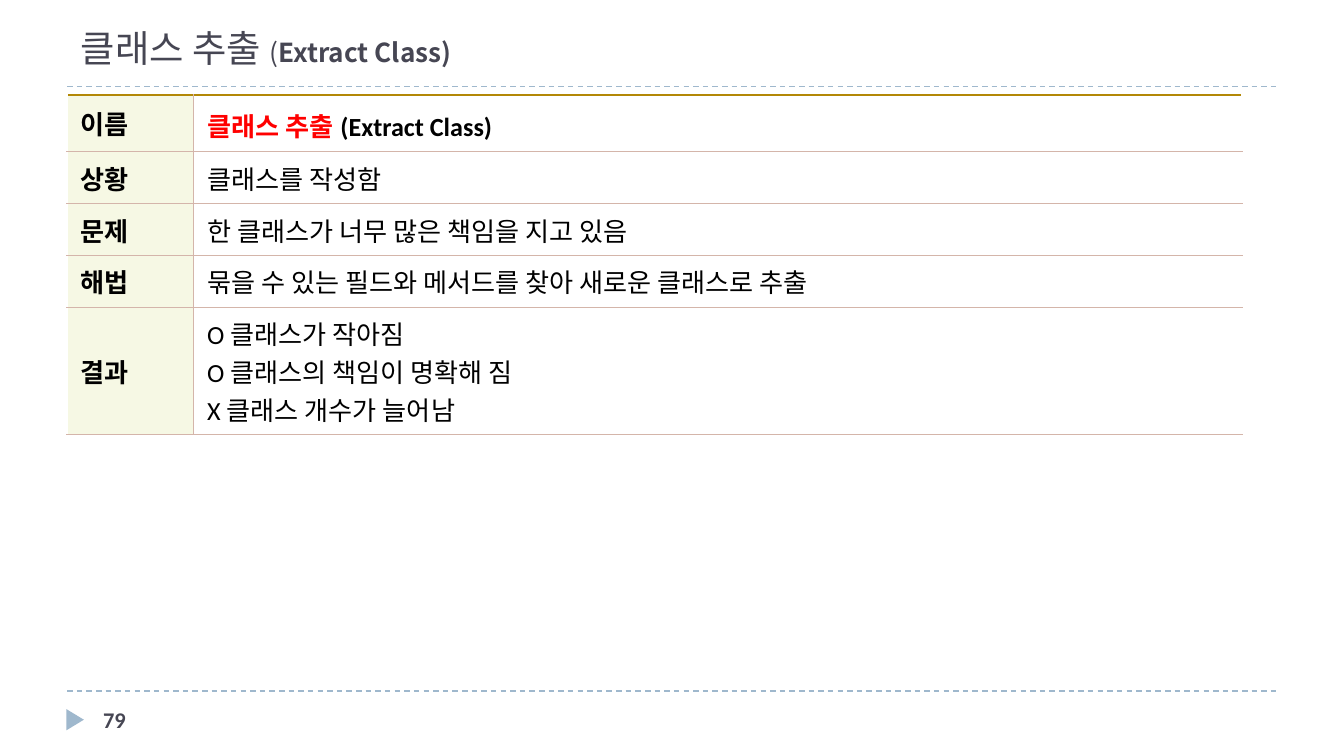
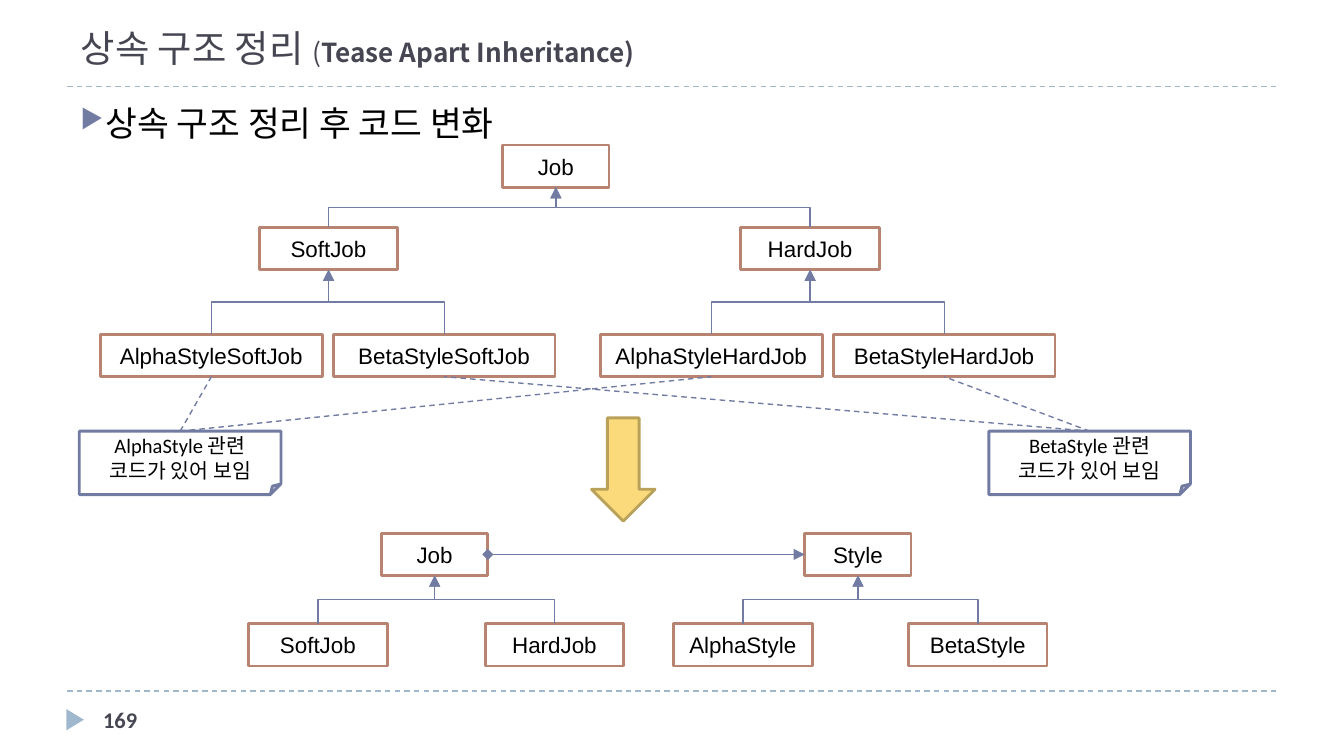
"""Build two refactoring slides: Extract Class and Tease Apart Inheritance."""
from lxml import etree
from pptx import Presentation
from pptx.dml.color import RGBColor
from pptx.enum.dml import MSO_LINE_DASH_STYLE as Dash
from pptx.enum.shapes import MSO_CONNECTOR as Link, MSO_SHAPE as Preset
from pptx.enum.text import MSO_ANCHOR as Anchor, MSO_AUTO_SIZE as AutoSize, PP_ALIGN as Align
from pptx.oxml.ns import qn
from pptx.util import Cm, Pt

COLORS = {name: RGBColor.from_string(value) for name, value in {
    "text": "000000", "heading": "464653", "highlight": "FF0000", "white": "FFFFFF",
    "rule": "9FB8CD", "link": "727CA3", "class": "B88472",
    "arrow": "FADA7A", "arrow_edge": "B9A15A",
    "label": "F6F8E4", "grid": "D4B5AA", "grid_top": "B38807",
}.items()}


def add_box(slide, preset, frame, fill, edge, text="", font_name="Arial", size=12):
    shape = slide.shapes.add_shape(preset, *[Cm(value) for value in frame])
    shape.shadow.inherit = False
    shape.fill.solid()
    shape.fill.fore_color.rgb = COLORS[fill]
    if edge:
        shape.line.color.rgb = COLORS[edge]
        shape.line.width = Pt(1.5)
    else:
        shape.line.fill.background()
    if text:
        shape.text_frame.text = text
        shape.text_frame.vertical_anchor = Anchor.MIDDLE
        paragraph = shape.text_frame.paragraphs[0]
        paragraph.alignment = Align.CENTER
        paragraph.font.name = font_name
        paragraph.font.size = Pt(size)
        paragraph.font.color.rgb = COLORS["text"]
    return shape


def add_link(slide, kind, color, dash=None, ends=None, joins=None, points=(0, 0, 0, 0)):
    connector = slide.shapes.add_connector(kind, *[Cm(value) for value in points])
    if joins:
        start, start_site, finish, finish_site = joins
        connector.begin_connect(start, start_site)
        connector.end_connect(finish, finish_site)
    connector.line.color.rgb = COLORS[color]
    connector.line.width = Pt(0.75)
    if dash:
        connector.line.dash_style = dash
    line = connector.line._get_or_add_ln()
    for tag, arrow in (ends or {}).items():
        etree.SubElement(line, qn(f"a:{tag}"), type=arrow)
    etree.SubElement(connector._element.spPr, qn("a:effectLst"))
    return connector


presentation = Presentation()
presentation.slide_width = Cm(25.4)
presentation.slide_height = Cm(14.29)

slides = []
for korean, english, number in [
    ("클래스 추출 ", "Extract Class)", "79"),
    ("상속 구조 정리 ", "Tease Apart Inheritance)", "169"),
]:
    slide = presentation.slides.add_slide(presentation.slide_layouts[5])
    slides.append(slide)
    for height in (13.06, 1.63):
        add_link(slide, Link.STRAIGHT, "rule", Dash.DASH, points=(1.27, height, 24.13, height))
    marker = add_box(slide, Preset.ISOSCELES_TRIANGLE, (1.22, 13.44, 0.4, 0.33), "rule", None)
    marker.rotation = 90

    title = slide.shapes.title
    title.left, title.top, title.width, title.height = Cm(1.27), Cm(0.33), Cm(22.86), Cm(1.12)
    title.text_frame.auto_size = AutoSize.NONE
    title.text_frame.vertical_anchor = Anchor.BOTTOM
    paragraph = title.text_frame.paragraphs[0]
    paragraph.alignment = Align.LEFT
    paragraph.font.name = "Noto Sans CJK KR"
    paragraph.font.color.rgb = COLORS["heading"]
    for text, size, bold in [(korean, 20, False), ("(", 14, False), (english, 14, True)]:
        run = paragraph.add_run()
        run.text = text
        run.font.size = Pt(size)
        run.font.bold = bold

    footer = slide.shapes.add_textbox(Cm(1.7), Cm(13.23), Cm(5.5), Cm(0.76))
    footer.text_frame.word_wrap = True
    paragraph = footer.text_frame.paragraphs[0]
    paragraph.text = number
    paragraph.font.name = "Calibri"
    paragraph.font.size = Pt(12)
    paragraph.font.bold = True
    paragraph.font.color.rgb = COLORS["heading"]

extract_slide, inheritance_slide = slides

pattern_rows = [
    ("이름", "", 1.07),
    ("상황", "클래스를 작성함", 0.98),
    ("문제", "한 클래스가 너무 많은 책임을 지고 있음", 0.98),
    ("해법", "묶을 수 있는 필드와 메서드를 찾아 새로운 클래스로 추출", 0.98),
    ("결과", "O 클래스가 작아짐\nO 클래스의 책임이 명확해 짐\nX 클래스 개수가 늘어남", 2.4),
]
table = extract_slide.shapes.add_table(
    len(pattern_rows), 2, Cm(1.27), Cm(1.8), Cm(22.2), Cm(6.41)).table
table.first_row = table.horz_banding = False
table.columns[0].width, table.columns[1].width = Cm(2.39), Cm(19.81)
for row, (label, content, height) in enumerate(pattern_rows):
    table.rows[row].height = Cm(height)
    for column, text in enumerate((label, content)):
        cell = table.cell(row, column)
        cell.text = text
        cell.vertical_anchor = Anchor.MIDDLE
        for paragraph in cell.text_frame.paragraphs:
            paragraph.font.name = "Calibri"
            paragraph.font.size = Pt(14)
            paragraph.font.bold = column == 0 or row == 0
            paragraph.font.color.rgb = COLORS["text"]
        for side in ("lnR" if column == 0 else "lnL", "lnT", "lnB"):
            top_edge = side == "lnT" and row == 0
            border = etree.SubElement(cell._tc.get_or_add_tcPr(), qn(f"a:{side}"),
                                      w=str(Pt(1 if top_edge else 0.5)))
            paint = etree.SubElement(border, qn("a:solidFill"))
            etree.SubElement(paint, qn("a:srgbClr"),
                             val=str(COLORS["grid_top" if top_edge else "grid"]))
        if column == 0:
            cell.fill.solid()
            cell.fill.fore_color.rgb = COLORS["label"]
        else:
            cell.fill.background()

name_paragraph = table.cell(0, 1).text_frame.paragraphs[0]
for text, size, color in [("클래스 추출", 14, "highlight"), (" ", 16, "text"),
                          ("(Extract Class)", 14, "text")]:
    run = name_paragraph.add_run()
    run.text = text
    run.font.size = Pt(size)
    run.font.color.rgb = COLORS[color]

heading = inheritance_slide.shapes.add_textbox(Cm(1.27), Cm(1.8), Cm(22.86), Cm(0.94))
heading.text_frame.word_wrap = True
paragraph = heading.text_frame.paragraphs[0]
paragraph.text = "상속 구조 정리 후 코드 변화"
properties = paragraph._p.get_or_add_pPr()
properties.set("marL", str(Cm(0.48)))
properties.set("indent", str(-Cm(0.48)))
bullet_color = etree.SubElement(properties, qn("a:buClr"))
etree.SubElement(bullet_color, qn("a:srgbClr"), val=str(COLORS["link"]))
etree.SubElement(properties, qn("a:buSzPct"), val="76000")
etree.SubElement(properties, qn("a:buChar"), char="▶")
paragraph.font.name = "Courier New"
paragraph.font.size = Pt(18.5)
paragraph.font.color.rgb = COLORS["text"]

class_rows = [
    ("before", 2.74, 2.01, {"Job": 9.5}),
    ("before", 4.3, 2.62, {"SoftJob": 4.9, "HardJob": 14}),
    ("before", 6.32, 4.19, {"AlphaStyleSoftJob": 1.9, "BetaStyleSoftJob": 6.3,
                            "AlphaStyleHardJob": 11.35, "BetaStyleHardJob": 15.75}),
    ("after", 10.08, 2.01, {"Job": 7.21, "Style": 15.21}),
    ("after", 11.79, 2.62, {"SoftJob": 4.7, "HardJob": 9.17,
                            "AlphaStyle": 12.73, "BetaStyle": 17.17}),
]
classes = {}
for stage, top, width, lefts in class_rows:
    for name, left in lefts.items():
        classes[stage, name] = add_box(inheritance_slide, Preset.RECTANGLE,
                                       (left, top, width, 0.8), "white", "class", name)

for stage, parent, children in [
    ("before", "SoftJob", ["AlphaStyleSoftJob", "BetaStyleSoftJob"]),
    ("before", "HardJob", ["AlphaStyleHardJob", "BetaStyleHardJob"]),
    ("before", "Job", ["SoftJob", "HardJob"]),
    ("after", "Job", ["SoftJob", "HardJob"]),
    ("after", "Style", ["AlphaStyle", "BetaStyle"]),
]:
    for child in children:
        connector = add_link(inheritance_slide, Link.ELBOW, "link", ends={"tailEnd": "triangle"},
                             joins=(classes[stage, child], 0, classes[stage, parent], 2))
        from_left = connector.begin_x < connector.end_x
        left, top, width, height = connector.left, connector.top, connector.width, connector.height
        connector.left = left + (width - height) // 2
        connector.top = top + (height - width) // 2
        connector.width, connector.height = height, width
        transform = connector._element.spPr.find(qn("a:xfrm"))
        transform.set("rot", str((90 if from_left else 270) * 60000))
        transform.set("flipH", "1" if from_left else "0")
        transform.set("flipV", "1")

for style, left in [("AlphaStyle", 1.5), ("BetaStyle", 18.69)]:
    note = add_box(inheritance_slide, Preset.FOLDED_CORNER, (left, 8.15, 3.81, 1.2),
                   "white", "link", f"{style} 관련 코드가 있어 보임", "Calibri", 11)
    for job in ("SoftJob", "HardJob"):
        add_link(inheritance_slide, Link.STRAIGHT, "link", Dash.DASH,
                 joins=(note, 0, classes["before", style + job], 2))

add_link(inheritance_slide, Link.STRAIGHT, "link",
         ends={"headEnd": "triangle", "tailEnd": "diamond"},
         joins=(classes["after", "Style"], 1, classes["after", "Job"], 3))
add_box(inheritance_slide, Preset.DOWN_ARROW, (11.18, 7.9, 1.2, 1.95), "arrow", "arrow_edge")

presentation.save("out.pptx")
